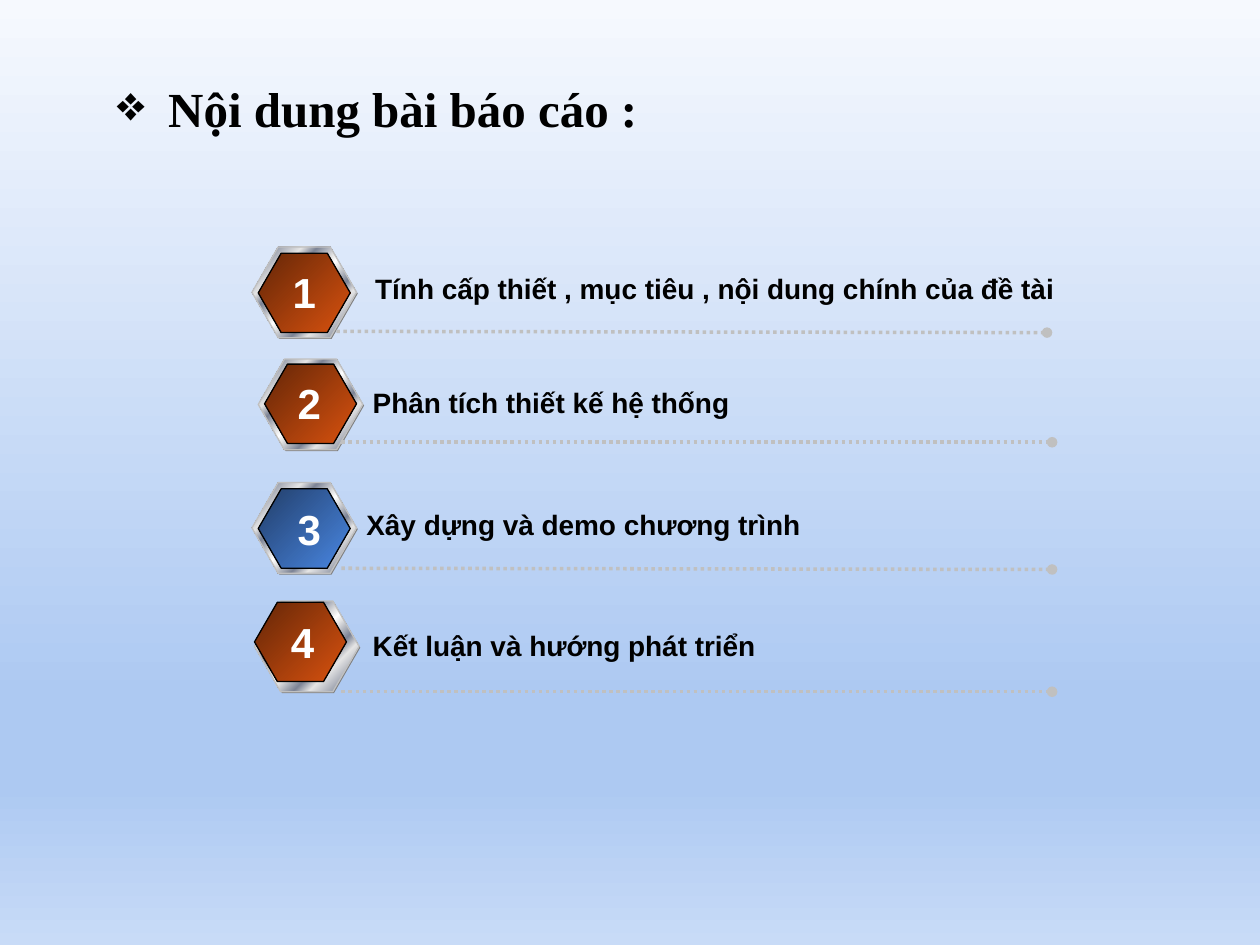
from lxml.etree import SubElement
from pptx import Presentation
from pptx.dml.color import RGBColor
from pptx.enum.dml import MSO_LINE
from pptx.enum.shapes import MSO_CONNECTOR, MSO_SHAPE
from pptx.enum.text import MSO_ANCHOR, MSO_AUTO_SIZE, PP_ALIGN
from pptx.oxml.ns import qn
from pptx.util import Inches, Pt

HUES = {"ink": "000000", "white": "FFFFFF", "edge": "C0C0C0", "shade": "808080"}
SKY = [(0, "F6F9FE"), (74, "ADC9F2"), (83, "ADC9F2"), (100, "C8DBF7")]
STEEL = [(0, "E6E6E6"), (8, "7D8496"), (26, "E6E6E6"), (34, "7D8496"),
         (46, "E6E6E6"), (50, "FFFFFF"), (54, "E6E6E6"), (66, "7D8496"),
         (74, "E6E6E6"), (92, "7D8496"), (100, "E6E6E6")]
RUST = [(0, "642607"), (100, "D9520F")]
BLUE = [(0, "223E69"), (100, "4987E3")]


class Deck:
    font = "Arial"

    def __init__(self):
        self.prs = Presentation()
        self.prs.slide_width = Inches(10)
        self.prs.slide_height = Inches(7.5)
        self.slide = self.prs.slides.add_slide(self.prs.slide_layouts[6])
        self.shapes = self.slide.shapes

    def color(self, name):
        return RGBColor.from_string(HUES[name])

    def blend(self, fill, root, stops, angle):
        fill.gradient()
        fill.gradient_angle = 360 - angle
        items = next(root.iter(qn("a:gsLst")))
        for old in list(items):
            items.remove(old)
        for pos, tone in stops:
            stop = SubElement(items, qn("a:gs"), pos=str(pos * 1000))
            SubElement(stop, qn("a:srgbClr"), val=tone)

    def back(self, stops):
        self.blend(self.slide.background.fill, self.slide.element, stops, 90)

    def run(self, para, text, size, tone="ink", bold=True, font=None):
        run = para.add_run()
        run.text = text
        run.font.name = font or self.font
        run.font.size = Pt(size)
        run.font.bold = bold
        run.font.color.rgb = self.color(tone)

    def text(self, x, y, w, h, text, size, tone="ink", align=PP_ALIGN.LEFT):
        box = self.shapes.add_textbox(Inches(x), Inches(y), Inches(w), Inches(h))
        frame = box.text_frame
        frame.word_wrap = False
        frame.auto_size = MSO_AUTO_SIZE.SHAPE_TO_FIT_TEXT
        para = frame.paragraphs[0]
        para.alignment = align
        self.run(para, text, size, tone)

    def title(self, x, y, w, h, text):
        box = self.shapes.add_textbox(Inches(x), Inches(y), Inches(w), Inches(h))
        frame = box.text_frame
        frame.word_wrap = True
        frame.vertical_anchor = MSO_ANCHOR.MIDDLE
        para = frame.paragraphs[0]
        self.run(para, text, 28, font="Times New Roman")
        props = para._p.get_or_add_pPr()
        props.set("marL", str(Inches(0.31)))
        props.set("indent", str(Inches(-0.31)))
        SubElement(props, qn("a:buChar"), char="❖")

    def hexa(self, group, x, y, w, h, fill, edge=None):
        shape = group.shapes.add_shape(
            MSO_SHAPE.HEXAGON, Inches(x), Inches(y), Inches(w), Inches(h))
        shape.shadow.inherit = False
        shape.adjustments[0] = 0.289
        shape.adjustments[1] = 1.155
        if isinstance(fill, str):
            shape.fill.solid()
            shape.fill.fore_color.rgb = self.color(fill)
        else:
            self.blend(shape.fill, shape.element, fill, 45)
        if edge:
            shape.line.color.rgb = self.color(edge)
            shape.line.width = Pt(0.75)
        else:
            shape.line.fill.background()
        return shape

    def badge(self, x, y, dx, dy, fill):
        group = self.shapes.add_group_shape()
        self.hexa(group, x + 0.01, y + 0.01, 0.83, 0.72, "shade")
        self.hexa(group, x, y, 0.83, 0.72, STEEL, "edge")
        return self.hexa(group, x + dx, y + dy, 0.73, 0.63, fill, "ink")

    def mark(self, shape, digit):
        frame = shape.text_frame
        frame.word_wrap = False
        frame.vertical_anchor = MSO_ANCHOR.MIDDLE
        para = frame.paragraphs[0]
        para.alignment = PP_ALIGN.LEFT
        self.run(para, " ", 18, bold=False)
        self.run(para, digit, 24, "white")

    def rule(self, x, y, drop):
        line = self.shapes.add_connector(
            MSO_CONNECTOR.STRAIGHT, Inches(x), Inches(y),
            Inches(x + 5.64), Inches(y + drop))
        line.line.color.rgb = self.color("edge")
        line.line.width = Pt(2)
        line.line.dash_style = MSO_LINE.ROUND_DOT
        SubElement(line.line._get_or_add_ln(), qn("a:tailEnd"), type="oval")
        SubElement(line.element.spPr, qn("a:effectLst"))

    def save(self):
        self.prs.save("out.pptx")


def main():
    deck = Deck()
    deck.back(SKY)
    deck.title(0.83, 0.55, 8.58, 0.62, " Nội dung bài báo cáo :")
    rows = [
        ("Tính cấp thiết , mục tiêu , nội dung chính của đề tài", RUST,
         (2, 1.96, 0.05, 0.05), (2.67, 2.63, 0.01), (2.88, 2.11, 5.67), (2.22, 2.07)),
        ("Phân tích thiết kế hệ thống", RUST,
         (2.05, 2.85, 0.05, 0.04), (2.71, 3.51, 0), (2.86, 3.01, 3.13), (2.26, 2.95)),
        ("Xây dựng và demo chương trình", BLUE,
         (2, 3.83, 0.05, 0.05), (2.71, 4.51, 0.01), (2.81, 3.98, 3.76), (2.26, 3.95)),
        ("Kết luận và hướng phát triển", RUST,
         (2.02, 4.77, 0, 0.01), (2.71, 5.49, 0), (2.86, 4.94, 3.28), None),
    ]
    for num, (label, fill, place, rule, spot, digit) in enumerate(rows, 1):
        face = deck.badge(*place, fill)
        deck.rule(*rule)
        deck.text(*spot, 0.37, label, 16)
        if digit:
            deck.text(*digit, 0.39, 0.5, str(num), 24, "white", PP_ALIGN.CENTER)
        else:
            deck.mark(face, str(num))
    deck.save()


if __name__ == "__main__":
    main()
